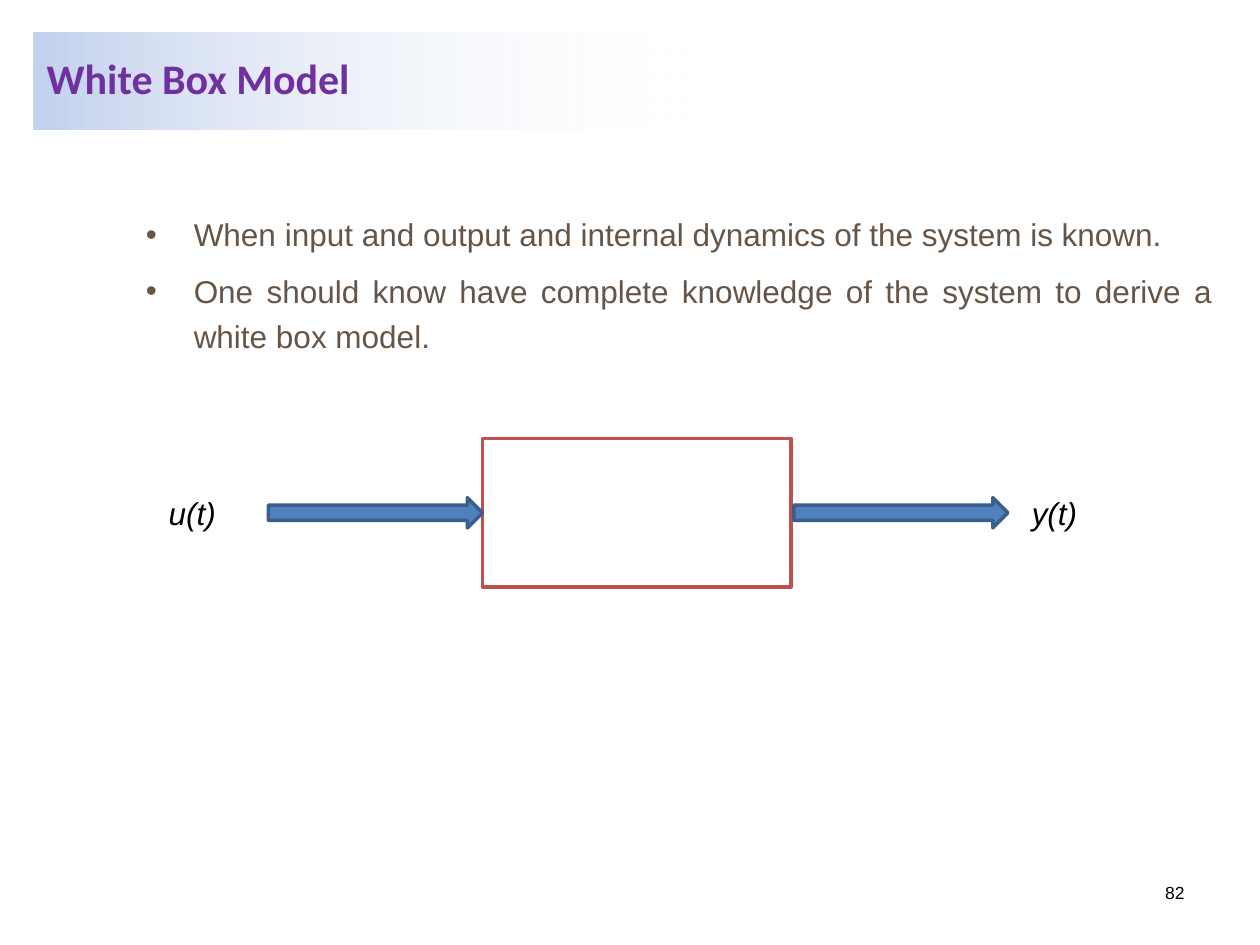
from lxml.etree import SubElement
from pptx import Presentation
from pptx.dml.color import RGBColor
from pptx.enum.shapes import MSO_SHAPE as Shape
from pptx.enum.text import MSO_ANCHOR as Anchor, MSO_AUTO_SIZE as AutoSize, PP_ALIGN as Align
from pptx.oxml.ns import qn
from pptx.util import Inches, Pt

COLORS = {
    "title": "7030A0", "band": "C2D1ED", "white": "FFFFFF", "body": "665546",
    "text": "000000", "box_line": "C0504D", "arrow": "4F81BD", "arrow_line": "3A5F8C",
}
BULLETS = [
    "When input and output and internal dynamics of the system is known.",
    "One should know have complete knowledge of the system to derive a white box model.",
]


def color(name):
    return RGBColor.from_string(COLORS[name])


def set_font(font, color_name, **values):
    font.color.rgb = color(color_name)
    for key, value in values.items():
        setattr(font, key, value)


def add_text(s, box, text, wrap=True, align=Align.LEFT, **font):
    tf = s.shapes.add_textbox(*map(Inches, box)).text_frame
    tf.word_wrap = wrap
    p = tf.paragraphs[0]
    p.alignment = align
    r = p.add_run()
    r.text = text
    set_font(r.font, "text", name="Arial", **font)


def add_block(s, kind, box, fill, line):
    sp = s.shapes.add_shape(kind, *map(Inches, box))
    sp.shadow.inherit = False
    sp.fill.solid()
    sp.fill.fore_color.rgb = color(fill)
    sp.line.color.rgb = color(line)
    sp.line.width = Pt(2)


def place_title(s, box, text):
    sp = s.shapes.title
    sp.left, sp.top, sp.width, sp.height = map(Inches, box)
    # Band fading to transparent at 70 %
    sp.fill.gradient()
    sp.fill.gradient_angle = 0
    stops = sp.fill.gradient_stops
    for stop, name, position in zip(stops, ("band", "white"), (0, 0.7)):
        stop.color.rgb = color(name)
        stop.position = position
    clear = sp.element.spPr.findall(".//" + qn("a:srgbClr"))[-1]
    SubElement(clear, qn("a:alpha"), val="0")
    tf = sp.text_frame
    tf.auto_size = AutoSize.NONE
    tf.vertical_anchor = Anchor.MIDDLE
    p = tf.paragraphs[0]
    p.alignment = Align.LEFT
    p.line_spacing = 0.85
    r = p.add_run()
    r.text = text
    set_font(r.font, "title", name="Calibri", size=Pt(24), bold=True)


def place_bullets(s, box, items):
    tf = s.shapes.add_textbox(*map(Inches, box)).text_frame
    tf.word_wrap = True
    for i, item in enumerate(items):
        p = tf.paragraphs[0] if i == 0 else tf.add_paragraph()
        p.alignment = Align.JUSTIFY
        p.line_spacing = 1.2
        if i:
            p.space_before = Pt(6.5)
        pPr = p._p.get_or_add_pPr()
        pPr.set("marL", str(Inches(0.38)))
        pPr.set("indent", str(-Inches(0.38)))
        SubElement(pPr, qn("a:buFont"), typeface="Arial")
        SubElement(pPr, qn("a:buChar"), char="•")
        r = p.add_run()
        r.text = item
        set_font(r.font, "body", name="Arial", size=Pt(18))


def place_diagram(s, box):
    left, top, width, height = box
    arrow_w, arrow_h = 1.7, 0.24
    middle = top + height / 2
    add_block(s, Shape.RECTANGLE, box, "white", "box_line")
    # Input and output arrows on either side of the box
    for x in (left - arrow_w, left + width + 0.02):
        add_block(s, Shape.RIGHT_ARROW, (x, middle - arrow_h / 2, arrow_w, arrow_h),
                  "arrow", "arrow_line")
    # Signal names
    for text, x, w in (("u(t)", left - 2.59, 0.78), ("y(t)", left + 4.26, 0.75)):
        add_text(s, (x, middle - 0.2, w, 0.4), text, wrap=False, size=Pt(18), italic=True)


def main():
    prs = Presentation()
    prs.slide_width, prs.slide_height = Inches(10), Inches(7.5)
    s = prs.slides.add_slide(prs.slide_layouts[5])
    place_title(s, (0.27, 0.26, 7.58, 0.77), "White Box Model")
    place_bullets(s, (1.06, 1.6, 8.66, 1.4), BULLETS)
    place_diagram(s, (3.83, 3.48, 2.45, 1.18))
    # Page number
    add_text(s, (7.17, 6.95, 2.33, 0.4), "82", align=Align.RIGHT, size=Pt(10))
    prs.save("out.pptx")


if __name__ == "__main__":
    main()
